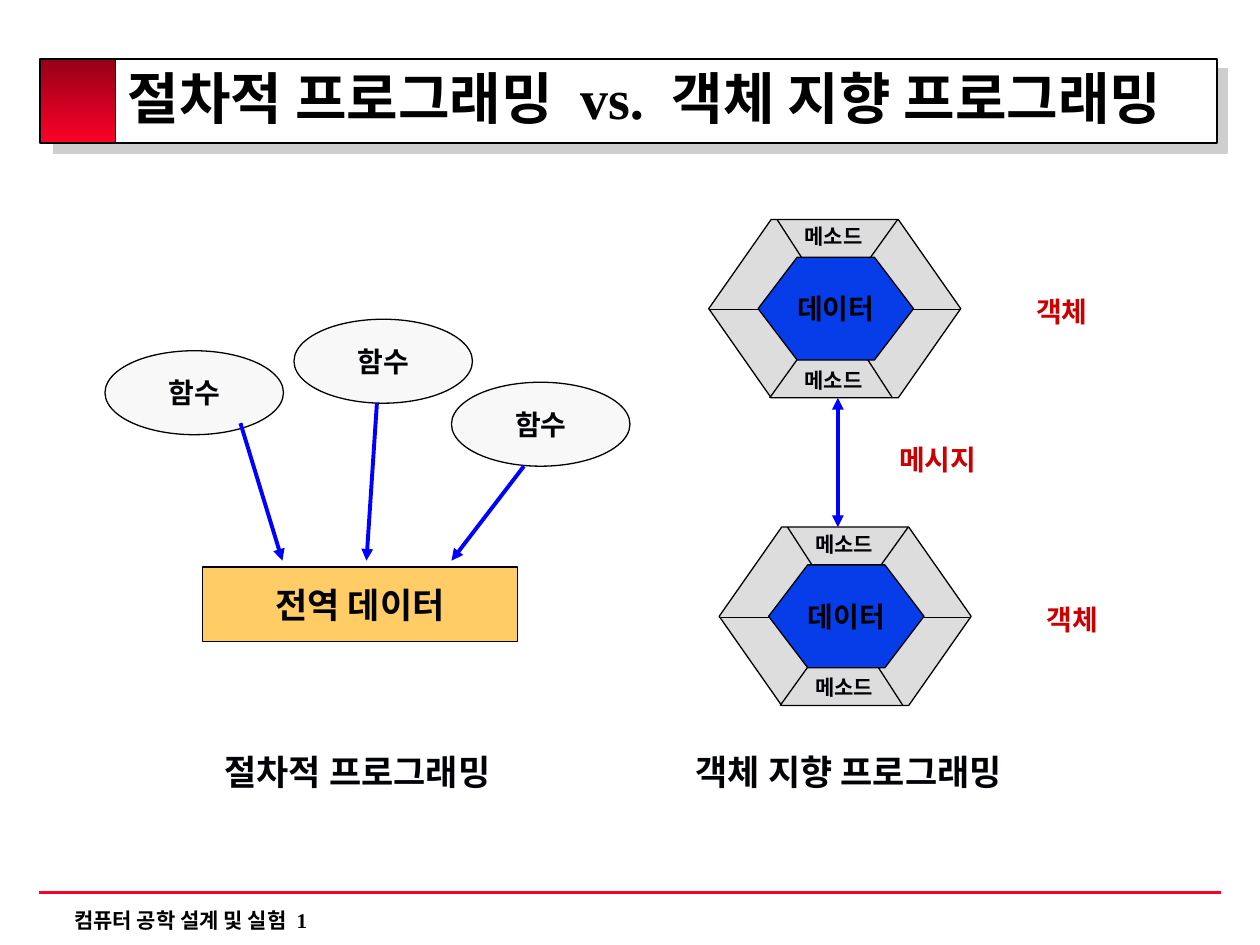
import pptx
import pptx.util
import pptx.dml.color
import pptx.enum.shapes
import pptx.enum.text
import pptx.oxml
import pptx.oxml.ns

RGBColor = pptx.dml.color.RGBColor
SHAPE = pptx.enum.shapes.MSO_SHAPE
ALIGN = pptx.enum.text.PP_ALIGN
ANCHOR = pptx.enum.text.MSO_ANCHOR

BLACK = RGBColor(0x00, 0x00, 0x00)
WHITE = RGBColor(0xFF, 0xFF, 0xFF)
INK = RGBColor(0x02, 0x03, 0x06)
RED = RGBColor(0xFC, 0x01, 0x28)
DARK_RED = RGBColor(0x95, 0x01, 0x18)
LABEL_RED = RGBColor(0xCC, 0x00, 0x00)
ARROW_BLUE = RGBColor(0x00, 0x00, 0xFF)
CORE_BLUE = RGBColor(0x06, 0x3D, 0xE8)
SHELL_GREY = RGBColor(0xDD, 0xDD, 0xDD)
FUNCTION_GREY = RGBColor(0xF8, 0xF8, 0xF8)
STORE_ORANGE = RGBColor(0xFF, 0xCC, 0x66)
SHADOW_GREY = RGBColor(0xCE, 0xCE, 0xCE)

SANS = "Noto Sans"
SERIF = "Times New Roman"
CELLS_PER_INCH = 12
FUNCTION_SIZE = (17, 8)
OBJECT_SIZE = (24, 17)


def grid(cells):
    return pptx.util.Inches(cells / CELLS_PER_INCH)


def shadow_effect(distance):
    return pptx.oxml.parse_xml(
        f'<a:effectLst {pptx.oxml.ns.nsdecls("a")}>'
        f'<a:outerShdw blurRad="0" dist="{pptx.util.Pt(distance)}" dir="2700000" algn="tl" rotWithShape="0">'
        f'<a:srgbClr val="{SHADOW_GREY}"/></a:outerShdw></a:effectLst>'
    )


def add_run(paragraph, words, size, color=INK, font=SANS, gap=0, shadow=0):
    run = paragraph.add_run()
    run.text = words
    run.font.size = pptx.util.Pt(size)
    run.font.bold = True
    run.font.color.rgb = color
    properties = run._r.get_or_add_rPr()
    if gap:
        properties.set("spc", str(gap * 100))
    if shadow:
        properties.append(shadow_effect(shadow))
    run.font.name = font


def add_block(slide, kind, column, row, columns, rows, fill, line=0.75, adjust=None):
    block = slide.shapes.add_shape(kind, grid(column), grid(row), grid(columns), grid(rows))
    block.shadow.inherit = False
    if adjust is not None:
        block.adjustments[0] = adjust
    block.fill.solid()
    block.fill.fore_color.rgb = fill
    block.line.color.rgb = BLACK
    block.line.width = pptx.util.Pt(line)
    return block


def write_centred(block, words, size):
    frame = block.text_frame
    frame.word_wrap = False
    frame.vertical_anchor = ANCHOR.MIDDLE
    frame.paragraphs[0].alignment = ALIGN.CENTER
    add_run(frame.paragraphs[0], words, size)


def add_frame(slide, column, row, columns, rows, wrap=True):
    box = slide.shapes.add_textbox(grid(column), grid(row), grid(columns), grid(rows))
    box.text_frame.word_wrap = wrap
    return box.text_frame


def add_label(slide, column, row, columns, rows, words, size, color=INK, wrap=True):
    paragraph = add_frame(slide, column, row, columns, rows, wrap).paragraphs[0]
    paragraph.alignment = ALIGN.CENTER
    add_run(paragraph, words, size, color)


def add_line(slide, start, end, color=BLACK, width=0.75, arrowheads=()):
    line = slide.shapes.add_connector(
        pptx.enum.shapes.MSO_CONNECTOR.STRAIGHT, *map(grid, start), *map(grid, end))
    line.line.color.rgb = color
    line.line.width = pptx.util.Pt(width)
    outline = line.line._get_or_add_ln()
    namespace = pptx.oxml.ns.nsdecls("a")
    for tip in arrowheads:
        outline.append(pptx.oxml.parse_xml(f'<a:{tip} {namespace} type="triangle"/>'))
    line._element.spPr.append(pptx.oxml.parse_xml(f"<a:effectLst {namespace}/>"))


def add_header(slide):
    bar = add_block(slide, SHAPE.RECTANGLE, 4.1, 5.6, 111.8, 8, WHITE, 1)
    bar_properties = bar._element.spPr
    bar_properties.remove(bar_properties.find(pptx.oxml.ns.qn("a:effectLst")))
    bar_properties.append(shadow_effect(8.5))

    marker = add_block(slide, SHAPE.RECTANGLE, 3.8, 5.6, 7.2, 8, RED, 1)
    marker.fill.gradient()
    marker.fill.gradient_angle = 270
    for stop, color in zip(marker.fill.gradient_stops, (DARK_RED, RED)):
        stop.color.rgb = color

    frame = add_frame(slide, 11, 5.3, 105.2, 9)
    frame.vertical_anchor = ANCHOR.MIDDLE
    title = frame.paragraphs[0]
    title.line_spacing = 0.8
    for words, gap in (("절차적 프로그래밍", 0), (" ", 8), ("vs.", 0), (" ", 8),
                       ("객체 지향 프로그래밍", 0)):
        add_run(title, words, 32, BLACK, SERIF, gap, shadow=2)


def add_footer(slide):
    add_line(slide, (3.7, 85), (116.3, 85), RED, 2.25)
    footer = add_frame(slide, 5.9, 85.8, 80.2, 3.6).paragraphs[0]
    for words, gap in (("컴퓨터 공학 설계 및 실험", 0), (" ", 3), ("1", 0)):
        add_run(footer, words, 12, BLACK, SERIF, gap)


def add_procedural(slide):
    store = add_block(slide, SHAPE.RECTANGLE, 19.3, 54, 30, 7.1, STORE_ORANGE)
    write_centred(store, "전역 데이터", 20)
    calls = (
        ((10, 33.4), (22.9, 40.3), 26.9),
        ((28, 30.4), (35.9, 38.4), 34.9),
        ((43, 36.4), (49.9, 44.4), 43),
    )
    for corner, start, target in calls:
        function = add_block(slide, SHAPE.OVAL, *corner, *FUNCTION_SIZE, FUNCTION_GREY)
        write_centred(function, "함수", 16)
        add_line(slide, start, (target, 53.4), ARROW_BLUE, 2.25, ("tailEnd",))
    add_label(slide, 13.7, 70.9, 40.7, 5.2, "절차적 프로그래밍", 20)


def add_object(slide, column, row):
    add_block(slide, SHAPE.HEXAGON, column, row, *OBJECT_SIZE, SHELL_GREY, adjust=0.35)
    for x1, y1, x2, y2 in ((6.5, 0, 17.5, 17), (5.8, 17, 18, 0), (24, 8.6, 0, 8.6)):
        add_line(slide, (column + x1, row + y1), (column + x2, row + y2))
    for offset in (13.5, -0.2):
        add_label(slide, column + 7.7, row + offset, 8.4, 3.6, "메소드", 12, wrap=False)
    core = add_block(slide, SHAPE.HEXAGON, column + 4.7, row + 3.6, 14.8, 9.8,
                     CORE_BLUE, adjust=0.38)
    write_centred(core, "데이터", 16)
    add_label(slide, column + 25.6, row + 6.6, 16.1, 4.4, "객체", 16, LABEL_RED)


def add_object_oriented(slide):
    for column, row in ((67.5, 20.9), (68.5, 50.2)):
        add_object(slide, column, row)
    add_line(slide, (79.8, 37.9), (79.8, 50.2), ARROW_BLUE, 2.25, ("headEnd", "tailEnd"))
    add_label(slide, 80.8, 41.6, 17, 4.4, "메시지", 16, LABEL_RED)
    add_label(slide, 56.3, 70.9, 49.1, 5.2, "객체 지향 프로그래밍", 20)


def main():
    deck = pptx.Presentation()
    deck.slide_width = grid(120)
    deck.slide_height = grid(90)
    slide = deck.slides.add_slide(deck.slide_layouts[6])
    add_header(slide)
    add_footer(slide)
    add_procedural(slide)
    add_object_oriented(slide)
    deck.save("out.pptx")


if __name__ == "__main__":
    main()
